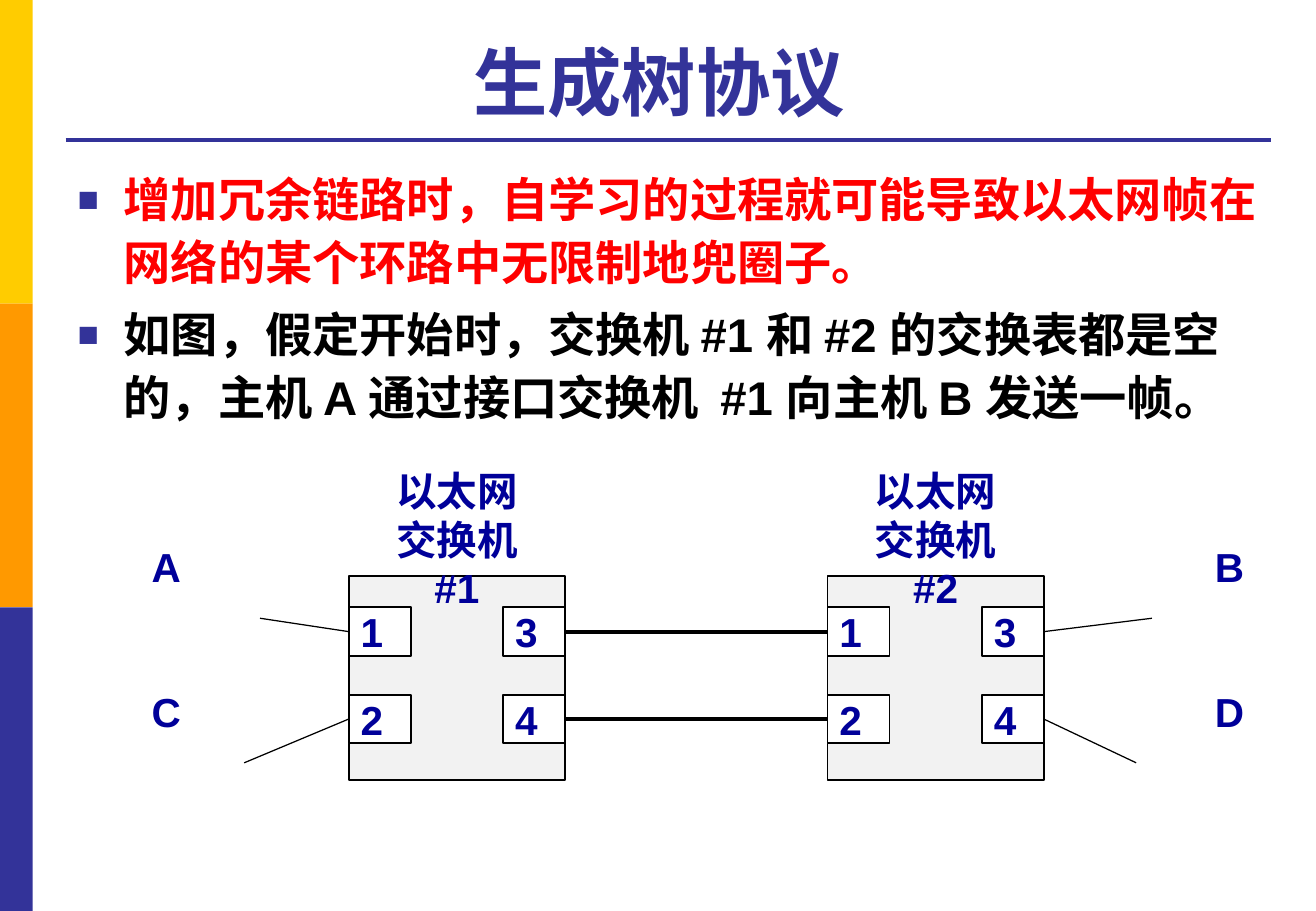
from typing import NamedTuple

from lxml.etree import SubElement
from pptx import Presentation
from pptx.dml.color import RGBColor
from pptx.enum.shapes import MSO_CONNECTOR, MSO_SHAPE
from pptx.enum.text import MSO_ANCHOR, PP_ALIGN
from pptx.oxml.ns import qn
from pptx.shapes.autoshape import Shape
from pptx.shapes.connector import Connector
from pptx.util import Pt

PX = 9144  # 100 px to the inch
FONT = "Arial"
INDIGO, NAVY, BLACK, WHITE = "333399", "000099", "000000", "FFFFFF"
LEFT, RIGHT = 1, 3  # connection sites

SWITCH_SIZE = (178, 168)
SWITCH_TOP = 474
PORT_SIZE = (51, 40)
PORT_TOPS = (500, 572)
LABEL_WIDTH = 140


class Band(NamedTuple):
    top: int
    color: str


class Switch(NamedTuple):
    name: str
    left: int


class Host(NamedTuple):
    name: str
    left: int
    top: int
    cable_x: int
    cable_y: int
    switch: str
    port: int
    side: int


class Link(NamedTuple):
    from_port: int
    to_port: int


class Bullet(NamedTuple):
    text: str
    color: str


BANDS = [Band(0, "FFCC00"), Band(250, "FF9900"), Band(500, INDIGO)]
SWITCHES = [Switch("#1", 287), Switch("#2", 681)]
LINKS = [Link(3, 1), Link(4, 2)]
HOSTS = [
    Host("A", 115, 441, 214, 509, "#1", 1, LEFT),
    Host("C", 115, 561, 201, 628, "#1", 2, LEFT),
    Host("B", 990, 441, 948, 509, "#2", 3, RIGHT),
    Host("D", 990, 561, 935, 628, "#2", 4, RIGHT),
]
BULLETS = [
    Bullet("增加冗余链路时，自学习的过程就可能导致以太网帧在网络的某个环路中无限制地兜圈子。", "FF0000"),
    Bullet("如图，假定开始时，交换机 #1 和 #2 的交换表都是空的，"
           "主机 A 通过接口交换机  #1 向主机 B 发送一帧。", BLACK),
]

deck = Presentation()
deck.slide_width, deck.slide_height = 1083 * PX, 750 * PX
page = deck.slides.add_slide(deck.slide_layouts[6])


def rgb(color: str) -> RGBColor:
    return RGBColor.from_string(color)


def style_text(box: Shape, size: int, color: str, align: PP_ALIGN) -> None:
    for paragraph in box.text_frame.paragraphs:
        paragraph.alignment = align
        for span in paragraph.runs:
            span.font.name = FONT
            span.font.size = Pt(size)
            span.font.bold = True
            span.font.color.rgb = rgb(color)


def add_text(text: str, left: int, top: int, width: int, height: int, size: int = 24,
             color: str = NAVY, align: PP_ALIGN = PP_ALIGN.LEFT) -> Shape:
    box = page.shapes.add_textbox(left * PX, top * PX, width * PX, height * PX)
    box.text_frame.word_wrap = True
    box.text_frame.text = text
    style_text(box, size, color, align)
    return box


def add_rectangle(left: int, top: int, width: int, height: int,
                  fill: str, outlined: bool = True) -> Shape:
    box = page.shapes.add_shape(
        MSO_SHAPE.RECTANGLE, left * PX, top * PX, width * PX, height * PX)
    box.shadow.inherit = False
    box.fill.solid()
    box.fill.fore_color.rgb = rgb(fill)
    if outlined:
        box.line.color.rgb = rgb(BLACK)
        box.line.width = Pt(1)
    else:
        box.line.fill.background()
    return box


def add_line(x1: int, y1: int, x2: int, y2: int, color: str, width: float) -> Connector:
    line = page.shapes.add_connector(
        MSO_CONNECTOR.STRAIGHT, x1 * PX, y1 * PX, x2 * PX, y2 * PX)
    line.line.color.rgb = rgb(color)
    line.line.width = Pt(width)
    SubElement(line._element.spPr, qn("a:effectLst"))
    return line


def add_bullets(bullets: list[Bullet]) -> None:
    box = add_text("\n".join(bullet.text for bullet in bullets), 54, 131, 991, 540, 28)
    for index, (paragraph, bullet) in enumerate(zip(box.text_frame.paragraphs, bullets)):
        properties = paragraph._p.get_or_add_pPr()
        properties.set("marL", str(38 * PX))
        properties.set("indent", str(-38 * PX))
        SubElement(SubElement(properties, qn("a:buClr")), qn("a:srgbClr"), val=INDIGO)
        SubElement(properties, qn("a:buSzPct"), val="75000")
        SubElement(properties, qn("a:buFont"), typeface=FONT)
        SubElement(properties, qn("a:buChar"), char="■")
        paragraph.line_spacing = 1.1
        if index:
            paragraph.space_before = Pt(6)
        paragraph.runs[0].font.color.rgb = rgb(bullet.color)


def add_port(number: int, switch: Switch) -> Shape:
    """Ports 1 and 2 sit on the left edge of the switch, 3 and 4 on the right."""
    column, row = divmod(number - 1, 2)
    left = switch.left + column * (SWITCH_SIZE[0] - PORT_SIZE[0])
    port = add_rectangle(left, PORT_TOPS[row], *PORT_SIZE, WHITE)
    frame = port.text_frame
    frame.text = str(number)
    frame.margin_left = 10 * PX
    frame.margin_right = frame.margin_top = frame.margin_bottom = 0
    frame.vertical_anchor = MSO_ANCHOR.MIDDLE
    style_text(port, 24, NAVY, PP_ALIGN.LEFT)
    return port


def add_switch(switch: Switch) -> dict[int, Shape]:
    add_rectangle(switch.left, SWITCH_TOP, *SWITCH_SIZE, "F2F2F2")
    label_left = switch.left + (SWITCH_SIZE[0] - LABEL_WIDTH) // 2
    add_text(f"以太网\n交换机 {switch.name}", label_left, 379, LABEL_WIDTH, 130,
             align=PP_ALIGN.CENTER)
    return {number: add_port(number, switch) for number in range(1, 5)}


for band in BANDS:
    add_rectangle(0, band.top, 27, 250, band.color, outlined=False)
add_line(54, 115, 1046, 115, INDIGO, 2.25)
title = add_text("生成树协议 ", 54, 21, 991, 87, 44, INDIGO, PP_ALIGN.CENTER)
title.text_frame.vertical_anchor = MSO_ANCHOR.BOTTOM
add_bullets(BULLETS)

ports = {switch.name: add_switch(switch) for switch in SWITCHES}
for link in LINKS:
    trunk = add_line(0, 0, 0, 0, BLACK, 2.25)
    trunk.begin_connect(ports["#1"][link.from_port], RIGHT)
    trunk.end_connect(ports["#2"][link.to_port], LEFT)
for host in HOSTS:
    add_text(host.name, host.left, host.top, 44, 50)
    cable = add_line(host.cable_x, host.cable_y, host.cable_x, host.cable_y, BLACK, 0.75)
    cable.end_connect(ports[host.switch][host.port], host.side)

deck.save("out.pptx")
